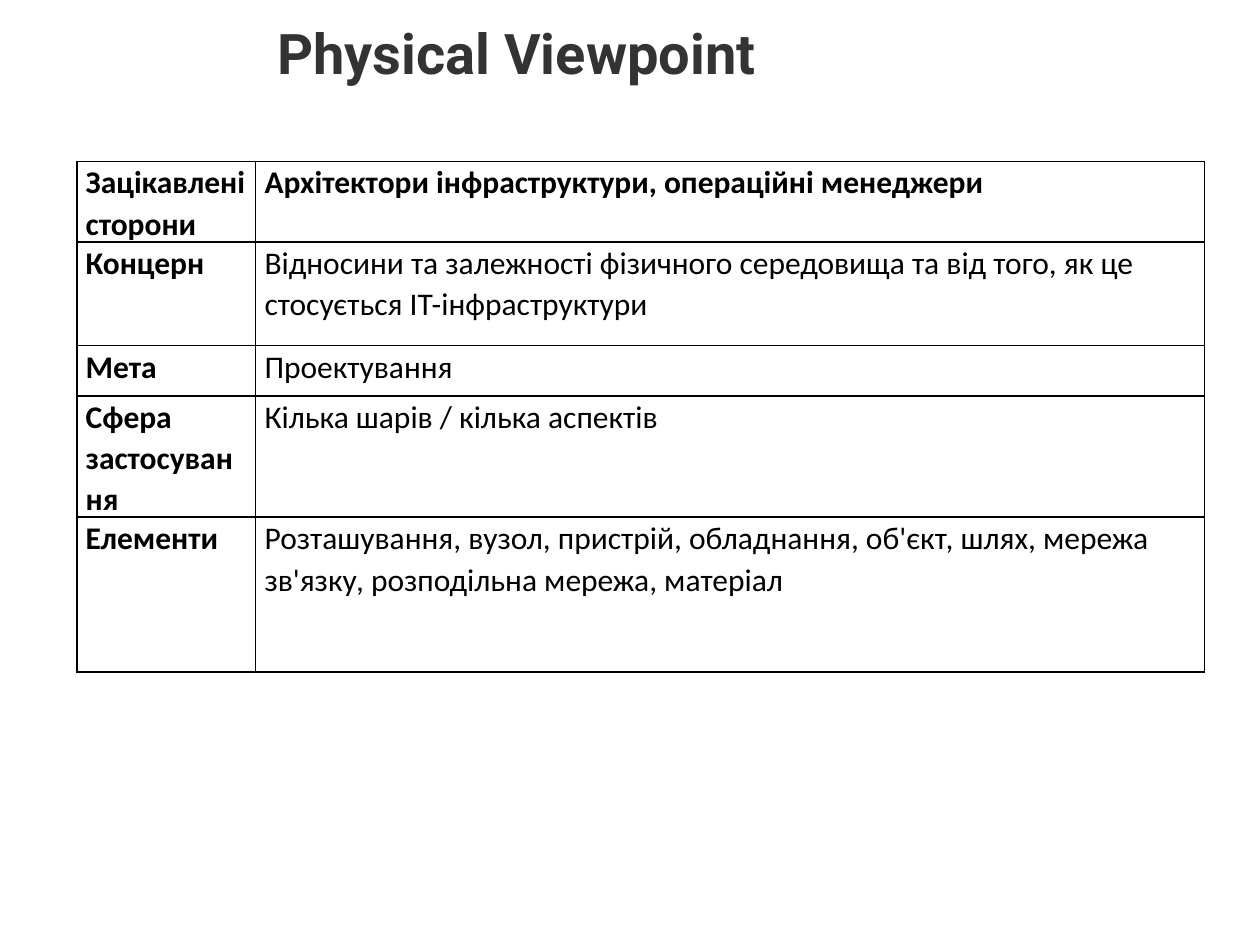
import pptx
import pptx.dml.color
import pptx.enum.text
import pptx.oxml
import pptx.oxml.ns
import pptx.util

Pt = pptx.util.Pt
BLACK = pptx.dml.color.RGBColor(0x00, 0x00, 0x00)
CHARCOAL = pptx.dml.color.RGBColor(0x33, 0x33, 0x33)

TITLE_BOX = (151.2, 7.2, 306, 46.08)
TABLE_BOX = (43.92, 92.16, 644.4, 275.76)
COLUMN_WIDTHS = (102.24, 542.16)
ROW_HEIGHTS = (39.6, 59.04, 28.8, 59.76, 88.56)

TITLE_FONT = {"name": "Roboto", "size": Pt(32), "bold": True}
CELL_FONT = {"name": "Calibri", "size": Pt(18)}
CELL_FORMAT = {
    "margin_left": Pt(5.04),
    "margin_right": Pt(5.04),
    "margin_top": 0,
    "margin_bottom": 0,
}

ROWS = (
    ("Зацікавлені сторони", "Архітектори інфраструктури, операційні менеджери"),
    ("Концерн", "Відносини та залежності фізичного середовища та від того, "
                "як це стосується ІТ-інфраструктури"),
    ("Мета", "Проектування"),
    ("Сфера застосування", "Кілька шарів / кілька аспектів"),
    ("Елементи", "Розташування, вузол, пристрій, обладнання, об'єкт, шлях, "
                 "мережа зв'язку, розподільна мережа, матеріал"),
)


def apply_format(target, values):
    """Set each attribute of the target from a dict."""
    for name, value in values.items():
        setattr(target, name, value)


def write_text(text_frame, text, font_format, color):
    """Write one formatted run and return its paragraph."""
    paragraph = text_frame.paragraphs[0]
    run = paragraph.add_run()
    run.text = text
    apply_format(run.font, font_format)
    run.font.color.rgb = color
    return paragraph


def add_borders(cell, color, width):
    """Draw a solid line on all four sides of a cell."""
    properties = cell._tc.get_or_add_tcPr()
    for side in ("lnL", "lnR", "lnT", "lnB"):
        properties.append(pptx.oxml.parse_xml(
            f'<a:{side} {pptx.oxml.ns.nsdecls("a")} w="{width}">'
            f'<a:solidFill><a:srgbClr val="{color}"/></a:solidFill>'
            f'</a:{side}>'
        ))


def add_title(slide, box, text):
    """Place the slide title in the given box."""
    shape = slide.shapes.add_textbox(*map(Pt, box))
    apply_format(shape.text_frame, {
        "word_wrap": False,
        "auto_size": pptx.enum.text.MSO_AUTO_SIZE.SHAPE_TO_FIT_TEXT,
    })
    write_text(shape.text_frame, text, TITLE_FONT, CHARCOAL)


def add_viewpoint_table(slide, box, rows):
    """Place the viewpoint description table in the given box."""
    table = slide.shapes.add_table(
        len(rows), len(COLUMN_WIDTHS), *map(Pt, box)
    ).table
    apply_format(table, {"first_row": False, "horz_banding": False})
    for column, width in zip(table.columns, COLUMN_WIDTHS):
        column.width = Pt(width)
    for row, height in zip(table.rows, ROW_HEIGHTS):
        row.height = Pt(height)
    for row_index, texts in enumerate(rows):
        for column_index, text in enumerate(texts):
            cell = table.cell(row_index, column_index)
            apply_format(cell, CELL_FORMAT)
            add_borders(cell, BLACK, Pt(1))
            cell.fill.background()
            bold = row_index == 0 or column_index == 0
            paragraph = write_text(
                cell.text_frame, text, {**CELL_FONT, "bold": bold}, BLACK
            )
            paragraph.line_spacing = 1.07


def main():
    """Build and save the presentation."""
    presentation = pptx.Presentation()
    apply_format(presentation, {"slide_width": Pt(720), "slide_height": Pt(540)})
    slide = presentation.slides.add_slide(presentation.slide_layouts[6])
    add_title(slide, TITLE_BOX, "Physical Viewpoint")
    add_viewpoint_table(slide, TABLE_BOX, ROWS)
    presentation.save("out.pptx")


if __name__ == "__main__":
    main()
